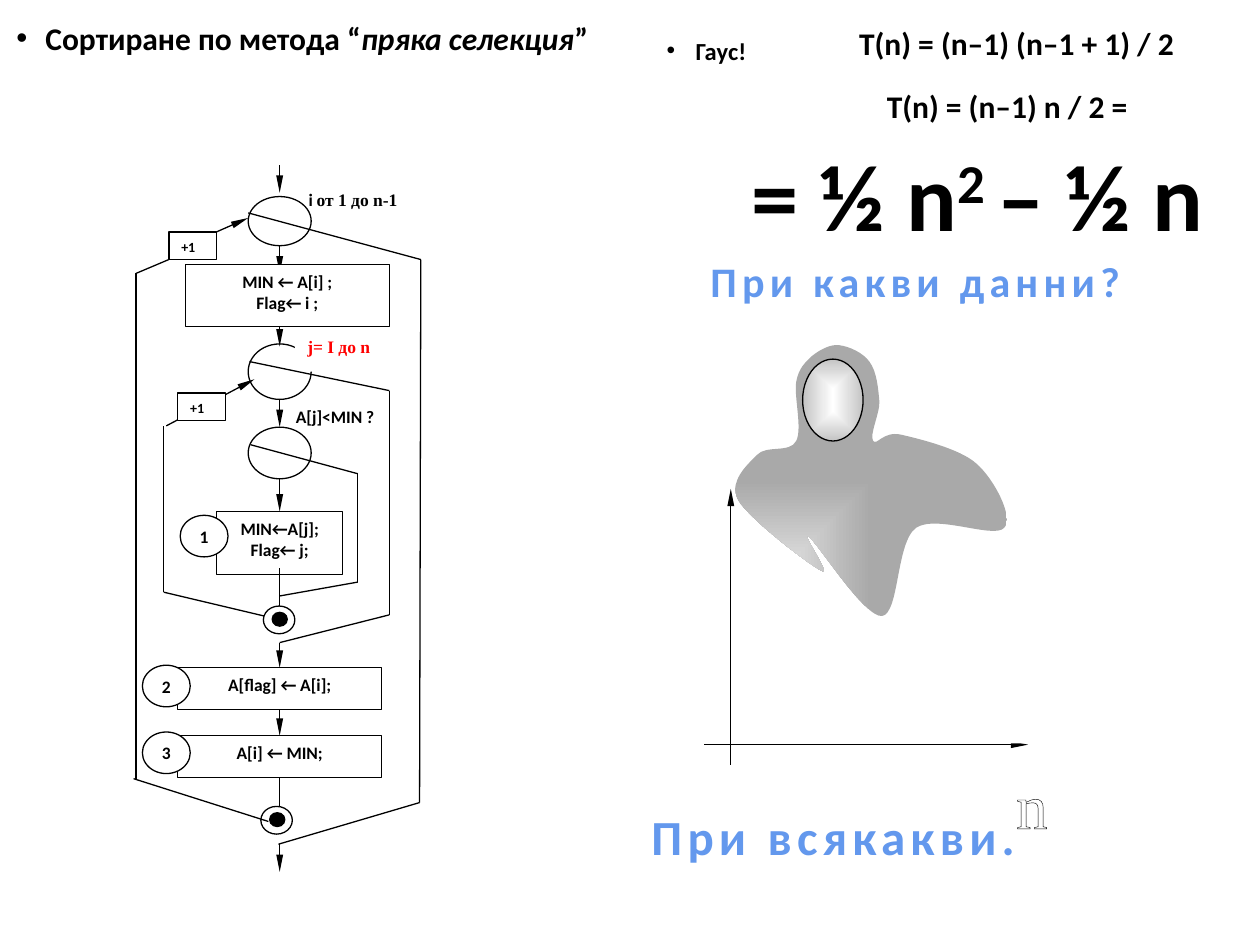
from itertools import pairwise
from lxml import etree
from pptx import Presentation
from pptx.dml import color
from pptx.enum import shapes, text
from pptx.oxml import ns
from pptx.util import Inches, Pt

KIND = shapes.MSO_SHAPE
MID = text.MSO_ANCHOR.MIDDLE
TOP = text.MSO_ANCHOR.TOP
LEFT = text.PP_ALIGN.LEFT
CENTER = text.PP_ALIGN.CENTER
BASE = {"name": "Calibri", "size": 10, "bold": True, "color": "000000"}


def rgb(code):
    return color.RGBColor.from_string(code)


def add(parent, tag, **attrs):
    node = etree.SubElement(parent, ns.qn(tag))
    for key, val in attrs.items():
        node.set(key, str(val))
    return node


def style(font, look):
    for key, val in {**BASE, **look}.items():
        if key == "color":
            font.color.rgb = rgb(val)
        elif key in ("spc", "baseline"):
            font._element.set(key, str(val))
        else:
            setattr(font, key, Pt(val) if key == "size" else val)


def write(shape, lines, align=LEFT, anchor=TOP, pad=(0.1, 0.05, 0.1, 0.05),
          wrap=True, bullet=False, **look):
    frame = shape.text_frame
    frame.auto_size = text.MSO_AUTO_SIZE.NONE
    frame.word_wrap, frame.vertical_anchor = wrap, anchor
    for side, gap in zip(("left", "top", "right", "bottom"), pad):
        setattr(frame, "margin_" + side, Inches(gap))
    for num, line in enumerate(lines):
        para = frame.add_paragraph() if num else frame.paragraphs[0]
        para.alignment, para.space_before = align, Pt(0)
        if bullet:
            props = para._p.get_or_add_pPr()
            props.set("marL", str(Inches(1)))
            props.set("indent", str(-Inches(0.23)))
            add(props, "a:buFont", typeface="Arial")
            add(props, "a:buChar", char="•")
        for part in [(line, {})] if isinstance(line, str) else line:
            run = para.add_run()
            run.text = part[0]
            style(run.font, {**look, **part[1]})


def paint(shape, fill="FFFFFF", line="000000"):
    shape.shadow.inherit = False
    shape.fill.solid()
    shape.fill.fore_color.rgb = rgb(fill)
    if line:
        shape.line.color.rgb = rgb(line)
        shape.line.width = Pt(0.75)
    else:
        shape.line.fill.background()


def shade(shape, edge, focus):
    old = shape._element.spPr.find(ns.qn("a:solidFill"))
    grad = etree.Element(ns.qn("a:gradFill"), rotWithShape="1")
    stops = add(grad, "a:gsLst")
    for pos, code in ((0, "FFFFFF"), (100000, edge)):
        add(add(stops, "a:gs", pos=pos), "a:srgbClr", val=code)
    kind, *rect = focus
    path = add(grad, "a:path", path=kind)
    add(path, "a:fillToRect", **{k: v * 1000 for k, v in zip("ltrb", rect)})
    old.getparent().replace(old, grad)


def form(slide, kind, spot, fill="FFFFFF", line="000000"):
    shape = slide.shapes.add_shape(kind, *map(Inches, spot))
    paint(shape, fill, line)
    return shape


def box(slide, spot, lines, align=CENTER, line="000000", **look):
    shape = form(slide, KIND.RECTANGLE, spot, line=line)
    write(shape, lines, align, **look)
    return shape


def label(slide, spot, lines, **look):
    write(slide.shapes.add_textbox(*map(Inches, spot)), lines, **look)


def link(slide, start, end, head=False, begin=None, stop=None):
    line = slide.shapes.add_connector(
        shapes.MSO_CONNECTOR.STRAIGHT, *map(Inches, (*start, *end)))
    line.line.color.rgb = rgb("000000")
    line.line.width = Pt(0.75)
    if head:
        add(line.line._get_or_add_ln(), "a:tailEnd", type="triangle", w="sm", len="lg")
    add(line._element.spPr, "a:effectLst")
    if begin:
        line.begin_connect(begin, 2)
    if stop:
        line.end_connect(stop, 0)


def blob(slide, start, bends):
    pen = slide.shapes.build_freeform(*start, scale=Inches(0.01))
    pen.add_line_segments([spot for bend in bends for spot in bend], close=True)
    shape = pen.convert_to_shape()
    legs = list(shape._element.iter(ns.qn("a:lnTo")))
    for first, *rest in zip(legs[::3], legs[1::3], legs[2::3]):
        bend = etree.Element(ns.qn("a:cubicBezTo"))
        first.addprevious(bend)
        for leg in (first, *rest):
            bend.append(leg[0])
            leg.getparent().remove(leg)
    paint(shape, line=None)
    return shape


def flow(slide):
    swap = box(slide, (1.72, 4.06, 1, 0.5), ["MIN←A[j];", "Flag← j;"])
    put = box(slide, (1.41, 5.3, 1.62, 0.33), ["A[flag] ← A[i];"])
    last = box(slide, (1.41, 5.84, 1.62, 0.33), ["A[i] ← MIN;"])
    for num, (x, y) in enumerate(((1.43, 4.09), (1.13, 5.28), (1.13, 5.81)), 1):
        mark = form(slide, KIND.OVAL, (x, y, 0.38, 0.33))
        write(mark, [str(num)], CENTER, MID, (0, 0, 0, 0))
    for y, high in ((1.56, 0.39), (2.73, 0.44), (3.39, 0.41)):
        form(slide, KIND.OVAL, (1.97, y, 0.5, high))
    box(slide, (2.34, 2.62, 1.12, 0.33), ["j= I до n"], LEFT, None,
        name="Times New Roman", color="FF0000")

    for route in (
        ((1.97, 1.69), (3.34, 2.06), (3.33, 6.37), (2.21, 6.7)),
        ((1.98, 2.87), (3.09, 3.1), (3.09, 4.88), (2.22, 5.1)),
        ((1.99, 3.53), (2.84, 3.76), (2.84, 4.62), (2.22, 4.73)),
        ((2.1, 4.89), (1.3, 4.7), (1.3, 3.38)),
        ((1.08, 6.18), (1.08, 2.17), (1.34, 2.06)),
    ):
        for start, end in pairwise(route):
            link(slide, start, end)
    for y in (1.31, 1.95, 2.53, 3.17, 6.7):
        link(slide, (2.22, y), (2.22, y + 0.22), True)
    link(slide, (2.22, 3.8), (2.22, 4.06), True, stop=swap)
    link(slide, (2.22, 5.1), (2.22, 5.3), True, stop=put)
    link(slide, (2.22, 5.63), (2.22, 5.84), True, put, last)
    link(slide, (2.22, 4.51), (2.22, 4.84))
    link(slide, (2.22, 6.17), (2.22, 6.52), begin=last)
    link(slide, (1.47, 1.95), (1.97, 1.73), True)
    link(slide, (1.32, 3.38), (2.02, 3.01), True)

    for x, y in ((2.09, 4.81), (2.07, 6.4)):
        form(slide, KIND.OVAL, (x, y, 0.25, 0.22))
        form(slide, KIND.OVAL, (x + 0.07, y + 0.05, 0.12, 0.11), "000000")
    link(slide, (2.13, 6.52), (1.06, 6.18))

    label(slide, (2.35, 1.45, 1.12, 0.33),
          [[("i ", {}), ("от 1 до n-1", {"name": "Times New Roman"})]])
    label(slide, (2.25, 3.17, 1.02, 0.27), ["A[j]<MIN ?"])
    for x, y in ((1.34, 1.84), (1.41, 3.12)):
        box(slide, (x, y, 0.38, 0.22), ["+1"], LEFT, size=8)
    box(slide, (1.47, 2.1, 1.62, 0.49), ["MIN ← A[i] ;", "Flag← i ;"])


def graph(slide):
    link(slide, (5.8, 6.07), (5.8, 3.88), True)
    link(slide, (5.59, 5.91), (8.16, 5.91), True)
    spot = slide.shapes.add_textbox(*map(Inches, (8.09, 6.03, 0.2, 0.17)))
    write(spot, ["n"], CENTER, pad=(0, 0.05, 0, 0), wrap=False, size=36,
          name="Times New Roman", bold=False, color="FFFFFF")
    props = spot.text_frame.paragraphs[0].runs[0].font._element
    edge = etree.Element(ns.qn("a:ln"), w=str(Pt(0.75)))
    add(add(edge, "a:solidFill"), "a:srgbClr", val="000000")
    props.insert(0, edge)
    form(slide, KIND.RECTANGLE, (5.82, 4.08, 2.47, 1.82), line=None)

    ghost = blob(slide, (693, 350), (
        ((690, 345), (698, 329), (698, 319)),
        ((697, 308), (696, 295), (690, 287)),
        ((685, 280), (674, 275), (666, 274)),
        ((659, 273), (650, 278), (644, 283)),
        ((639, 288), (634, 292), (632, 303)),
        ((630, 314), (637, 340), (632, 350)),
        ((627, 360), (608, 353), (601, 361)),
        ((593, 369), (578, 382), (586, 397)),
        ((595, 412), (642, 448), (652, 453)),
        ((661, 458), (634, 420), (642, 426)),
        ((650, 432), (686, 490), (700, 489)),
        ((714, 487), (711, 431), (727, 419)),
        ((743, 408), (789, 428), (797, 419)),
        ((805, 411), (789, 380), (775, 368)),
        ((762, 356), (728, 348), (715, 345)),
        ((701, 342), (696, 354), (693, 350))))
    shade(ghost, "A9A9A9", ("rect", 0, 100, 100, 0))
    face = form(slide, KIND.OVAL, (6.37, 2.85, 0.48, 0.65))
    shade(face, "C4C4C4", ("shape", 50, 50, 50, 50))


def head(slide):
    title, body = slide.placeholders
    for shape, spot, lines, size in (
        (title, (-1.14, -0.02, 6.09, 0.82),
         [[("Сортиране по метода “", {}), ("пряка селекция", {"italic": True}), ("”", {})]], 18),
        (body, (4.02, 0.11, 2.12, 0.45), ["Гаус!"], 14),
    ):
        for side, val in zip(("left", "top", "width", "height"), spot):
            setattr(shape, side, Inches(val))
        write(shape, lines, anchor=TOP if shape is title else MID,
              pad=(0.5, 0.17, 0.1, 0.04), bullet=True, size=size)


def sums(slide):
    label(slide, (6.72, 0.14, 2.74, 0.4), ["T(n) = (n–1) (n–1 + 1) / 2"], wrap=False, size=18)
    label(slide, (6.94, 0.64, 2.14, 0.4), ["T(n) = (n–1) n / 2 ="], wrap=False, size=18)
    label(slide, (5.82, 1.04, 3.87, 1.01),
          [[("= ½ n", {}), ("2 ", {"baseline": 30000}), ("– ½ n", {})]],
          align=CENTER, wrap=False, size=54)
    for spot, words, size in (
        ((5.03, 6.35, 3.17, 0.57), "При всякакви.", 28),
        ((4.41, 1.98, 5.71, 0.5), "При какви данни?", 24),
    ):
        label(slide, spot, [words], align=CENTER, wrap=False, size=size, color="6398ED", spc=300)


def main():
    deck = Presentation()
    deck.slide_width, deck.slide_height = Inches(10), Inches(7.5)
    slide = deck.slides.add_slide(deck.slide_layouts[1])
    flow(slide)
    head(slide)
    graph(slide)
    sums(slide)
    deck.save("out.pptx")


if __name__ == "__main__":
    main()
